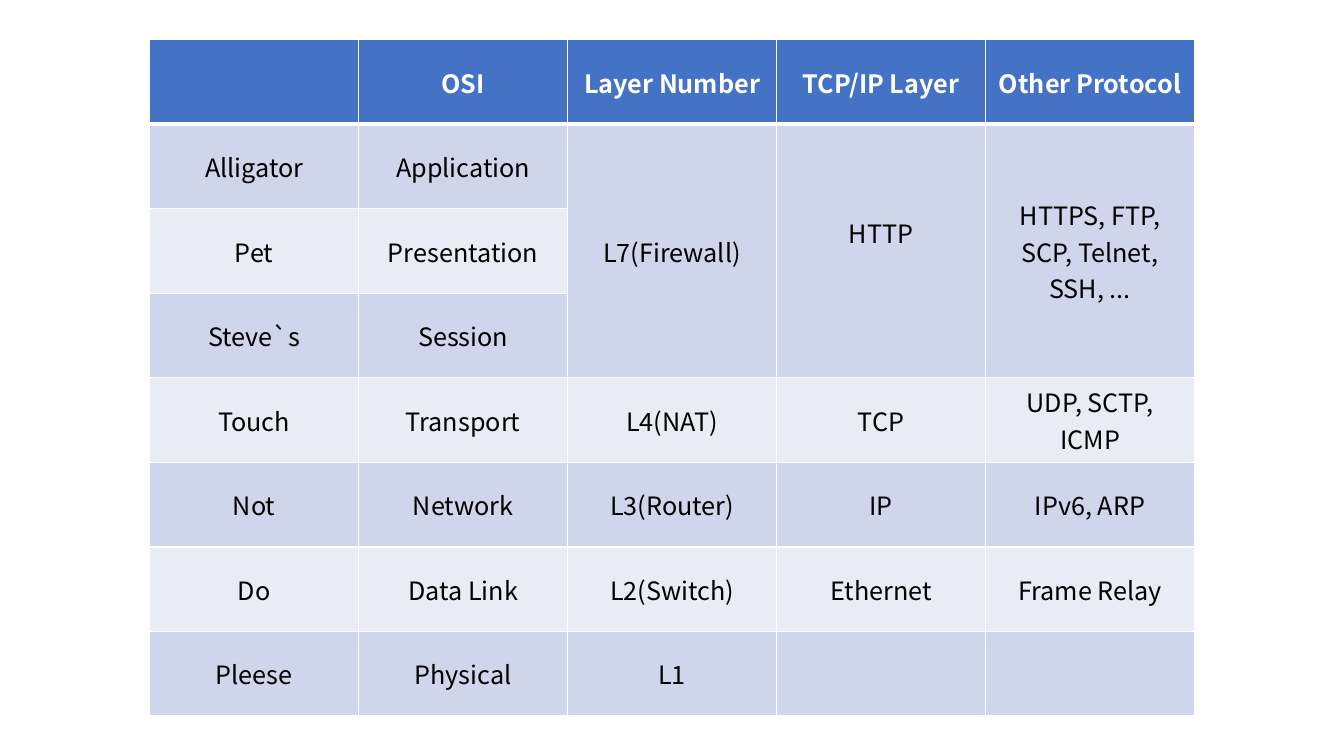
from lxml.etree import SubElement
from pptx import Presentation
from pptx.dml.color import RGBColor
from pptx.enum.text import MSO_ANCHOR as Anchor, PP_ALIGN as Align
from pptx.oxml.ns import qn
from pptx.util import Pt

COLORS = {
    "header": "4472C4",
    "odd_row": "CFD5EA",
    "even_row": "E9EBF5",
    "line": "FFFFFF",
    "header_text": "FFFFFF",
    "text": "000000",
}
ROWS = [
    ["", "OSI", "Layer Number", "TCP/IP Layer", "Other Protocol"],
    ["Alligator", "Application", "L7(Firewall)", "HTTP",
     "HTTPS, FTP, SCP, Telnet, SSH, ..."],
    ["Pet", "Presentation", "", "", ""],
    ["Steve`s", "Session", "", "", ""],
    ["Touch", "Transport", "L4(NAT)", "TCP", "UDP, SCTP, ICMP"],
    ["Not", "Network", "L3(Router)", "IP", "IPv6, ARP"],
    ["Do", "Data Link", "L2(Switch)", "Ethernet", "Frame Relay"],
    ["Pleese", "Physical", "L1", "", ""],
]
APPLICATION_ROWS = (1, 3)
SHARED_COLUMNS = (2, 3, 4)


class SlideBuilder:
    def __init__(self, slide, font="Noto Sans CJK KR", size=18):
        self.slide = slide
        self.font = font
        self.size = size

    def cell_text(self, cell, text, color="text", bold=False):
        cell.vertical_anchor = Anchor.MIDDLE
        paragraph = cell.text_frame.paragraphs[0]
        paragraph.alignment = Align.CENTER
        paragraph.font.size = Pt(self.size)
        if text:
            run = paragraph.add_run()
            run.text = text
            run.font.name = self.font
            run.font.size = Pt(self.size)
            run.font.bold = bold
            run.font.color.rgb = RGBColor.from_string(COLORS[color])

    def border(self, cell, top=1, bottom=1):
        """Outline a cell; call before filling it, as the XML order requires."""
        properties = cell._tc.get_or_add_tcPr()
        widths = {"a:lnL": 1, "a:lnR": 1, "a:lnT": top, "a:lnB": bottom}
        for tag, width in widths.items():
            line = SubElement(properties, qn(tag), w=str(Pt(width)))
            fill = SubElement(line, qn("a:solidFill"))
            SubElement(fill, qn("a:srgbClr"), val=COLORS["line"])

    def table(self, rows, left, top, column_width, row_height):
        column_count = len(rows[0])
        table = self.slide.shapes.add_table(
            len(rows), column_count, Pt(left), Pt(top),
            Pt(column_width * column_count), Pt(row_height * len(rows))).table
        for column in table.columns:
            column.width = Pt(column_width)
        for row_index, texts in enumerate(rows):
            table.rows[row_index].height = Pt(row_height)
            is_header = row_index == 0
            band = "header" if is_header else ("even_row", "odd_row")[row_index % 2]
            for column_index, text in enumerate(texts):
                cell = table.cell(row_index, column_index)
                self.border(cell, top=3 if row_index == 1 else 1,
                            bottom=3 if is_header else 1)
                cell.fill.solid()
                cell.fill.fore_color.rgb = RGBColor.from_string(COLORS[band])
                self.cell_text(cell, text, bold=is_header,
                               color="header_text" if is_header else "text")
        return table


def main():
    presentation = Presentation()
    presentation.slide_width = Pt(960)
    presentation.slide_height = Pt(540)
    slide = presentation.slides.add_slide(presentation.slide_layouts[6])

    builder = SlideBuilder(slide)
    table = builder.table(ROWS, left=106.9, top=28.4,
                          column_width=149.3, row_height=60.4)
    first_row, last_row = APPLICATION_ROWS
    for column in SHARED_COLUMNS:
        table.cell(first_row, column).merge(table.cell(last_row, column))
    http_cell = table.cell(first_row, ROWS[first_row].index("HTTP"))
    http_cell.margin_bottom = Pt(29.6)

    presentation.save("out.pptx")


if __name__ == "__main__":
    main()
